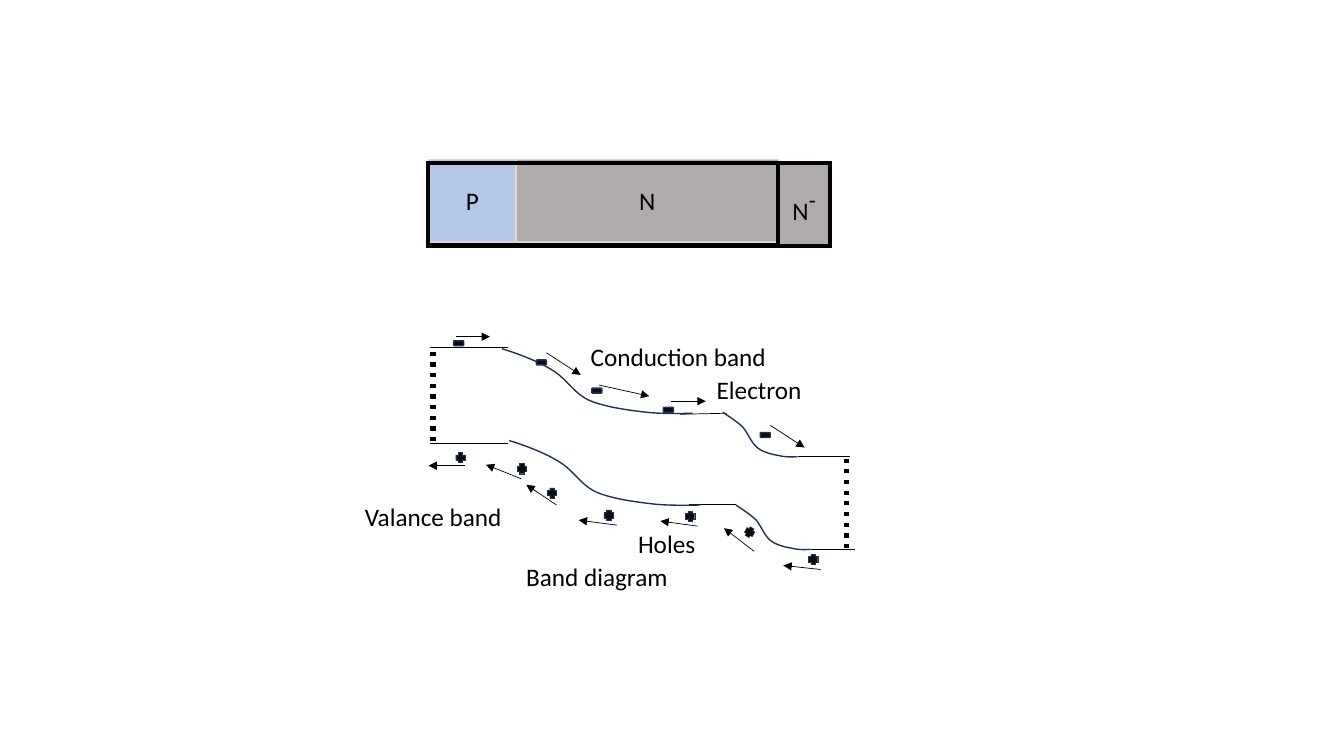
from lxml import etree
from pptx import Presentation
from pptx import util as u
from pptx.dml.color import RGBColor
from pptx.enum import shapes, text
from pptx.oxml.ns import qn

COLORS = {
    "black": "000000",
    "n_region": "AFABAB",
    "p_region": "B4C7E7",
    "region_edge": "D9D9D9",
    "carrier": "0D0D0D",
    "band": "1E3256",
}
SHAPE = shapes.MSO_SHAPE


def rgb(name):
    return RGBColor.from_string(COLORS[name])


def write(frame, content, size=18, color="black", font="Calibri",
          align=text.PP_ALIGN.LEFT, superscript=None, superscript_size=28):
    """Put one paragraph in frame, with an optional raised run after it."""
    paragraph = frame.paragraphs[0]
    paragraph.alignment = align
    pieces = [(content, size, None)]
    if superscript:
        pieces.append((superscript, superscript_size, "30000"))
    for piece, points, baseline in pieces:
        run = paragraph.add_run()
        run.text = piece
        run.font.name = font
        run.font.size = u.Pt(points)
        run.font.color.rgb = rgb(color)
        if baseline:
            run._r.get_or_add_rPr().set("baseline", baseline)


def curve_segments(shape):
    """Join each three straight segments of a freeform into one cubic curve."""
    segments = list(shape._element.iter(qn("a:lnTo")))
    for first in range(0, len(segments), 3):
        curve = etree.Element(qn("a:cubicBezTo"))
        segments[first].addprevious(curve)
        for segment in segments[first:first + 3]:
            curve.append(segment[0])
            segment.getparent().remove(segment)


class Diagram:
    def __init__(self, slide):
        self.slide = slide
        self.shapes = slide.shapes

    def stroke(self, shape, color, width):
        shape.line.color.rgb = rgb(color)
        shape.line.width = u.Pt(width)
        etree.SubElement(shape.line._get_or_add_ln(), qn("a:miter"), lim="800000")

    def block(self, kind, left, top, width, height, fill, edge, edge_width,
              label=None, rotation=0, **fmt):
        shape = self.shapes.add_shape(
            kind, *map(u.Inches, (left, top, width, height)))
        shape.shadow.inherit = False
        shape.rotation = rotation
        if fill:
            shape.fill.solid()
            shape.fill.fore_color.rgb = rgb(fill)
        else:
            shape.fill.background()
        self.stroke(shape, edge, edge_width)
        if label:
            shape.text_frame.vertical_anchor = text.MSO_ANCHOR.MIDDLE
            write(shape.text_frame, label, align=text.PP_ALIGN.CENTER, **fmt)

    def line(self, x1, y1, x2, y2, width=0.5, arrow=False):
        connector = self.shapes.add_connector(
            shapes.MSO_CONNECTOR.STRAIGHT, *map(u.Inches, (x1, y1, x2, y2)))
        self.stroke(connector, "black", width)
        if arrow:
            etree.SubElement(connector.line._get_or_add_ln(),
                             qn("a:tailEnd"), type="triangle")
        etree.SubElement(connector._element.spPr, qn("a:effectLst"))

    def band_bend(self, points, dx=0, dy=0):
        outline = [(u.Inches(x + dx), u.Inches(y + dy)) for x, y in points]
        builder = self.shapes.build_freeform(*outline[0])
        builder.add_line_segments(outline[1:], close=False)
        bend = builder.convert_to_shape()
        curve_segments(bend)
        bend.shadow.inherit = False
        bend.fill.background()
        self.stroke(bend, "band", 1)

    def band_edge(self, left, top):
        """Dotted vertical edge made of nine short thick dashes."""
        for i in range(9):
            y = top + i * 0.106
            self.line(left, y, left + 0.05, y, width=3)

    def electron(self, left, top):
        self.block(SHAPE.ROUNDED_RECTANGLE, left, top, 0.1, 0.05,
                   "carrier", "band", 1)

    def hole(self, left, top, rotation=0):
        self.block(SHAPE.CROSS, left, top, 0.09, 0.1,
                   "carrier", "band", 0.25, rotation=rotation)

    def caption(self, content, left, top, width):
        box = self.shapes.add_textbox(
            *map(u.Inches, (left, top, width, 0.4)))
        box.text_frame.word_wrap = False
        box.text_frame.auto_size = text.MSO_AUTO_SIZE.SHAPE_TO_FIT_TEXT
        write(box.text_frame, content)


LONG_BEND = [(4.98, 3.46), (5.17, 3.52), (5.35, 3.59), (5.49, 3.68),
             (5.63, 3.77), (5.69, 3.9), (5.84, 3.97),
             (6, 4.04), (6.24, 4.07), (6.41, 4.09),
             (6.59, 4.11), (6.87, 4.1), (6.87, 4.1)]
SHORT_BEND = [(7.17, 4.09), (7.24, 4.14), (7.31, 4.18), (7.37, 4.24),
              (7.42, 4.3), (7.45, 4.39), (7.51, 4.44),
              (7.57, 4.49), (7.67, 4.51), (7.73, 4.52),
              (7.8, 4.54), (7.91, 4.53), (7.91, 4.53)]
FLAT_BANDS = [(4.26, 3.45, 5.04, 3.45), (4.26, 4.4, 5.04, 4.4),
              (6.74, 4.11, 7.21, 4.1), (6.83, 5, 7.3, 5),
              (7.91, 4.53, 8.43, 4.53), (8.04, 5.45, 8.48, 5.45)]
ELECTRON_ARROWS = [(4.52, 3.34, 4.86, 3.34), (5.42, 3.5, 5.76, 3.72),
                   (5.94, 3.82, 6.44, 3.93), (6.66, 3.98, 7, 3.98),
                   (7.64, 4.22, 7.98, 4.44)]
HOLE_ARROWS = [(4.61, 4.62, 4.25, 4.62), (5.17, 4.75, 4.82, 4.61),
               (5.52, 5.01, 5.22, 4.81), (6.12, 5.21, 5.74, 5.16),
               (6.92, 5.22, 6.55, 5.17), (7.48, 5.47, 7.18, 5.24),
               (8.14, 5.65, 7.77, 5.61)]
ELECTRONS = [(4.5, 3.38), (5.32, 3.57), (5.87, 3.85), (6.58, 4.04), (7.54, 4.29)]
HOLES = [(4.52, 4.49), (5.13, 4.6), (5.43, 4.84), (5.99, 5.06),
         (6.8, 5.07), (7.39, 5.23, 30), (8.02, 5.5)]
CAPTIONS = [("Conduction band", 5.76, 3.34, 1.96), ("Electron", 7.01, 3.66, 1.05),
            ("Valance band", 3.52, 4.92, 1.58), ("Holes", 6.23, 5.19, 0.78),
            ("Band diagram", 5.12, 5.52, 1.62)]


def main():
    deck = Presentation()
    deck.slide_width, deck.slide_height = u.Inches(13.33), u.Inches(7.5)
    diagram = Diagram(deck.slides.add_slide(deck.slide_layouts[6]))

    diagram.block(SHAPE.RECTANGLE, 5.12, 1.58, 2.6, 0.82,
                  "n_region", "region_edge", 1, label="N")
    diagram.block(SHAPE.RECTANGLE, 4.25, 1.58, 0.87, 0.82,
                  "p_region", "region_edge", 1, label="P")
    diagram.block(SHAPE.RECTANGLE, 5.57, 0.29, 0.82, 3.47,
                  None, "black", 3, rotation=270)
    diagram.block(SHAPE.RECTANGLE, 7.72, 1.62, 0.51, 0.82,
                  "n_region", "black", 3, label="N", superscript="-")

    for ends in FLAT_BANDS:
        diagram.line(*ends)
    diagram.band_bend(LONG_BEND)
    diagram.band_bend(LONG_BEND, dx=0.07, dy=0.91)
    diagram.band_bend(SHORT_BEND)
    diagram.band_bend(SHORT_BEND, dx=0.13, dy=0.92)
    diagram.band_edge(4.27, 3.51)
    diagram.band_edge(8.37, 4.57)

    for ends in ELECTRON_ARROWS + HOLE_ARROWS:
        diagram.line(*ends, arrow=True)
    for place in ELECTRONS:
        diagram.electron(*place)
    for place in HOLES:
        diagram.hole(*place)
    for caption in CAPTIONS:
        diagram.caption(*caption)

    deck.save("out.pptx")


if __name__ == "__main__":
    main()
